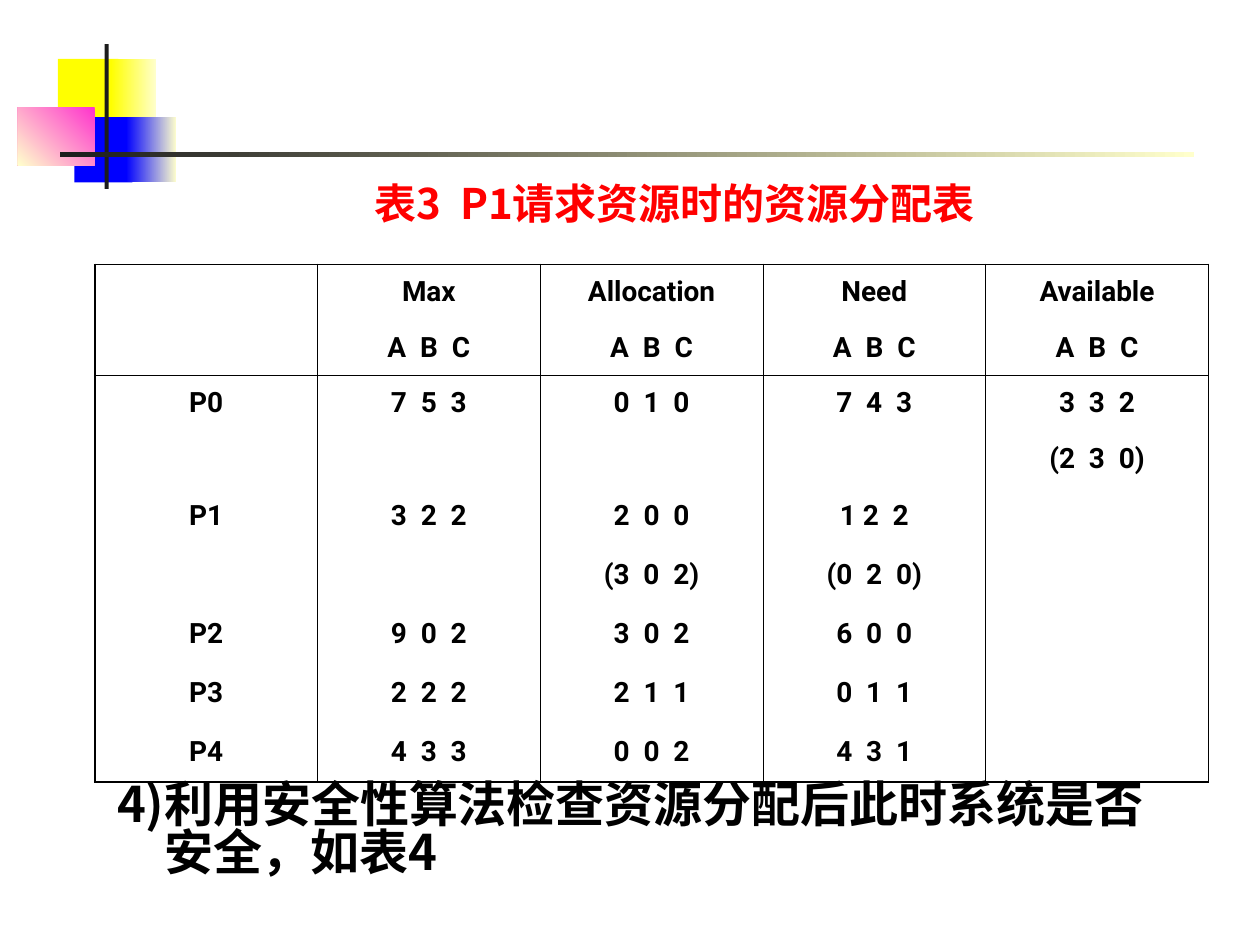
from lxml import etree
from pptx import Presentation
from pptx import util as u
from pptx.dml.color import RGBColor
from pptx.enum import shapes, text
from pptx.oxml import ns


def color(hex_value):
    return RGBColor.from_string(hex_value)


def write(paragraph, words, size, font, hex_value):
    run = paragraph.add_run()
    run.text = words
    settings = {"name": font, "size": u.Pt(size), "bold": True}
    for name, value in settings.items():
        setattr(run.font, name, value)
    run.font.color.rgb = color(hex_value)
    east_asian = etree.SubElement(run.font._element, ns.qn("a:ea"))
    east_asian.set("typeface", font)


CJK_FONT, TABLE_FONT = "Noto Sans CJK SC", "Roboto"

presentation = Presentation()
presentation.slide_width, presentation.slide_height = u.Cm(25.4), u.Cm(19.05)
slide = presentation.slides.add_slide(presentation.slide_layouts[5])

# Corner ornament and rule: left, top, width, height, colours, angle
ornament = [
    (1.17, 1.19, 1.22, 1.32, ["FFFF00"], None),
    (2.24, 1.19, 0.91, 1.32, ["FFFFCC", "FFFF00"], 180),
    (1.5, 2.36, 1.17, 1.32, ["0000FF"], None),
    (2.54, 2.36, 1.02, 1.32, ["FFFFCC", "0000FF"], 180),
    (0.36, 2.16, 1.55, 1.17, ["FF33CC", "FFFFCC"], 225),
    (2.11, 0.89, 0.08, 2.92, ["1C1C1C"], None),
    (1.22, 3.07, 22.86, 0.1, ["FFFFCC", "1C1C1C"], 180),
]
for left, top, width, height, colors, angle in ornament:
    shape = slide.shapes.add_shape(
        shapes.MSO_SHAPE.RECTANGLE, u.Cm(left), u.Cm(top), u.Cm(width), u.Cm(height))
    shape.shadow.inherit = False
    shape.line.fill.background()
    if angle is None:
        shape.fill.solid()
        shape.fill.fore_color.rgb = color(colors[0])
    else:
        shape.fill.gradient()
        shape.fill.gradient_angle = angle
        for stop, hex_value in zip(shape.fill.gradient_stops, colors):
            stop.color.rgb = color(hex_value)

# Table caption as the slide title
title = slide.shapes.title
placement = {"left": 7.29, "top": 3.45, "width": 14.27, "height": 1.27}
for name, value in placement.items():
    setattr(title, name, u.Cm(value))
frame_format = {"word_wrap": True, "auto_size": text.MSO_AUTO_SIZE.NONE,
                "vertical_anchor": text.MSO_ANCHOR.MIDDLE}
for name, value in frame_format.items():
    setattr(title.text_frame, name, value)
paragraph = title.text_frame.paragraphs[0]
paragraph.alignment = text.PP_ALIGN.LEFT
write(paragraph, "表3  P1请求资源时的资源分配表", 24, CJK_FONT, "FF0000")

# Resource allocation table
rows = [
    ["", "Max", "Allocation", "Need", "Available"],
    [""] + ["A  B  C"] * 4,
    ["P0", "7  5  3", "0  1  0", "7  4  3", "3  3  2"],
    ["", "", "", "", "(2  3  0)"],
    ["P1", "3  2  2", "2  0  0", "1 2  2", ""],
    ["", "", "(3  0  2)", "(0  2  0)", ""],
    ["P2", "9  0  2", "3  0  2", "6  0  0", ""],
    ["P3", "2  2  2", "2  1  1", "0  1  1", ""],
    ["P4", "4  3  3", "0  0  2", "4  3  1", ""],
]
row_heights = [1.12] * 4 + [1.19] * 5
last_row, last_column = len(rows) - 1, len(rows[0]) - 1
table = slide.shapes.add_table(
    len(rows), len(rows[0]), u.Cm(1.91), u.Cm(5.33),
    u.Cm(22.45), u.Cm(sum(row_heights))).table
table.first_row = table.horz_banding = False
for column in table.columns:
    column.width = u.Cm(4.49)
for row, height in zip(table.rows, row_heights):
    row.height = u.Cm(height)
table.cell(0, 0).merge(table.cell(1, 0))

OUTER, INNER = 1.08, 0.45
for i, row in enumerate(rows):
    for j, words in enumerate(row):
        cell = table.cell(i, j)
        cell.vertical_anchor = text.MSO_ANCHOR.MIDDLE
        paragraph = cell.text_frame.paragraphs[0]
        paragraph.alignment = text.PP_ALIGN.CENTER
        if words:
            write(paragraph, words, 16, TABLE_FONT, "000000")
        else:
            paragraph.font.size = u.Pt(16)

        # Thick outside, thin between columns and under the header
        borders = {
            "lnL": OUTER if j == 0 else INNER,
            "lnR": OUTER if j == last_column else INNER,
            "lnT": {0: OUTER, 2: INNER}.get(i, 0),
            "lnB": {1: INNER, last_row: OUTER}.get(i, 0),
        }
        properties = cell._tc.get_or_add_tcPr()
        for tag, width in borders.items():
            line = etree.SubElement(properties, ns.qn("a:" + tag), w=str(u.Pt(width)))
            if width:
                fill = etree.SubElement(line, ns.qn("a:solidFill"))
                etree.SubElement(fill, ns.qn("a:srgbClr"), val="000000")
            else:
                etree.SubElement(line, ns.qn("a:noFill"))
        cell.fill.background()

# Next step, with a hanging indent
step = slide.shapes.add_textbox(u.Cm(2.11), u.Cm(15.67), u.Cm(21.29), u.Cm(2.85))
step.text_frame.word_wrap = True
paragraph = step.text_frame.paragraphs[0]
paragraph.line_spacing = 0.82
indent = u.Cm(0.95)
paragraph_properties = paragraph._p.get_or_add_pPr()
paragraph_properties.set("marL", str(indent))
paragraph_properties.set("indent", str(-indent))
write(paragraph, "4)利用安全性算法检查资源分配后此时系统是否安全，如表4", 28, CJK_FONT, "000000")

presentation.save("out.pptx")
